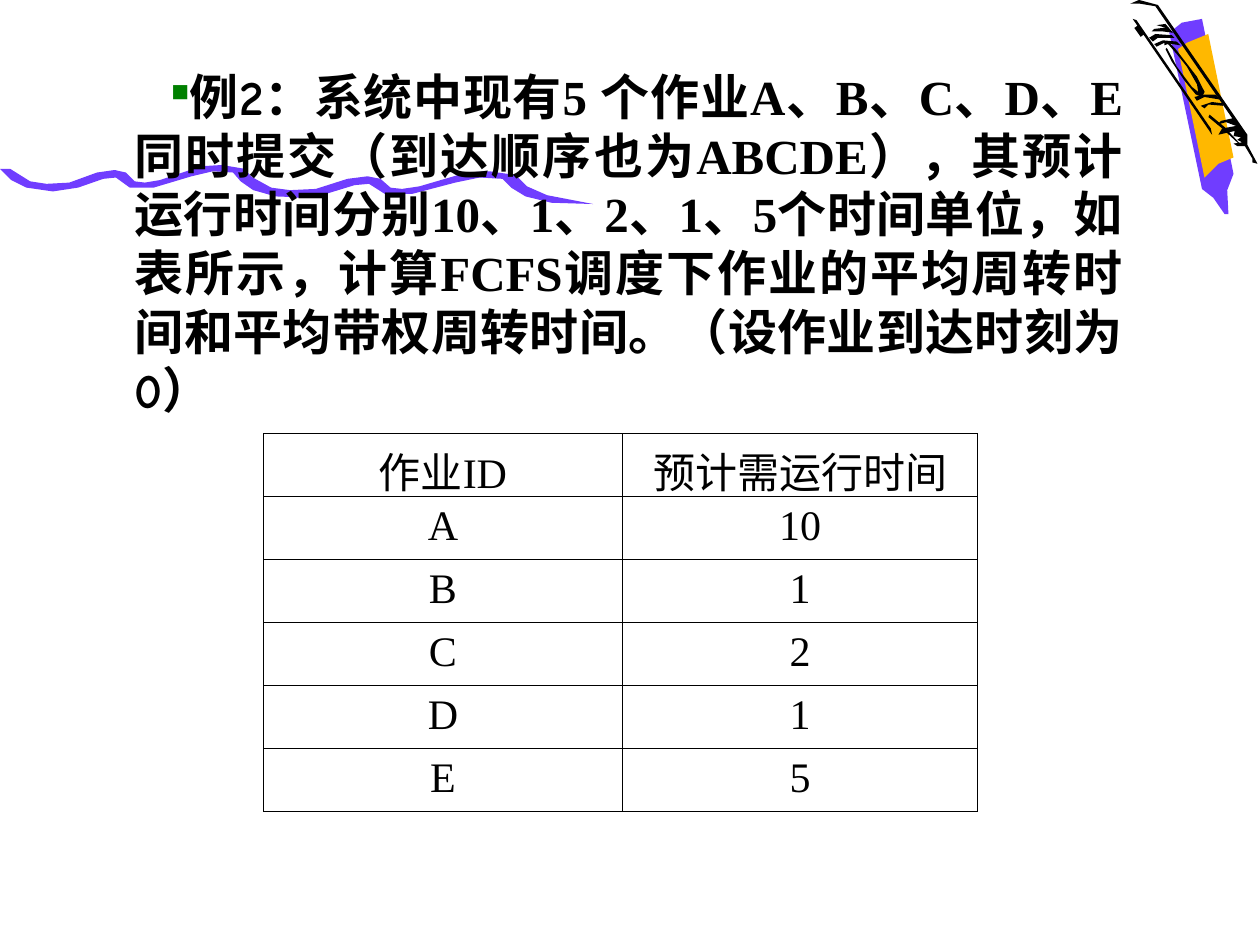
from lxml.etree import SubElement
from pptx import Presentation
from pptx.dml.color import RGBColor
from pptx.enum.shapes import MSO_CONNECTOR
from pptx.enum.text import MSO_ANCHOR, PP_ALIGN
from pptx.oxml.ns import qn
from pptx.util import Inches, Pt

BLACK = RGBColor(0x00, 0x00, 0x00)
PURPLE = RGBColor(0x70, 0x3D, 0xFF)
GOLD = RGBColor(0xFF, 0xB8, 0x00)
GREEN = RGBColor(0x00, 0x80, 0x00)
SERIF = "Times New Roman"
COMIC = "Comic Neue"
UNIT = Inches(0.01)  # outline points are in hundredths of an inch

WAVE = [
    (8, 3), (24, 13), (37, 15), (55, 14), (77, 6), (91, 4), (100, 6), (107, 13),
    (115, 14), (127, 12), (160, 1), (176, 0), (194, 3), (202, 12), (216, 19),
    (248, 26), (219, 25), (201, 20), (191, 13), (185, 6), (169, 5), (152, 9),
    (122, 18), (103, 18), (92, 10), (82, 11), (62, 18), (42, 21), (21, 18),
    (9, 12), (0, 3),
]
BODY = [(28, 26), (54, 150), (63, 157), (72, 170), (75, 170), (74, 151),
        (79, 138), (54, 15), (38, 18)]
SIDE = [(56, 141), (67, 130), (79, 125), (59, 27), (42, 34), (35, 39)]
INK = [
    # tip edge and cap marks
    [(59, 93), (70, 102), (84, 115), (84, 114), (72, 101), (60, 91)],
    [(14, 25), (23, 25), (31, 26), (25, 19), (18, 20), (25, 22), (16, 23)],
    # inner loop
    [(25, 39), (30, 49), (40, 64), (49, 75), (54, 77), (56, 73), (50, 61),
     (40, 48), (33, 39), (27, 33), (24, 33), (24, 36), (27, 35), (34, 43),
     (42, 53), (50, 67), (51, 73), (46, 69), (34, 53), (26, 38)],
    # long edges
    [(-1, 15), (62, 107), (61, 102), (2, 16)],
    [(67, 107), (70, 102), (81, 100), (73, 97), (66, 99), (69, 96), (78, 94),
     (17, 5), (5, 3), (-3, 3), (4, 0), (19, 4), (90, 107), (90, 115),
     (98, 130), (94, 129), (94, 126), (88, 116), (82, 116), (79, 114),
     (86, 113), (82, 111), (85, 109), (79, 108), (80, 104)],
    # short bands
    [(56, 86), (59, 83), (71, 84), (70, 82), (62, 81), (53, 84)],
    [(50, 80), (56, 77), (68, 79), (65, 75), (56, 75), (48, 77)],
    [(18, 37), (24, 34), (37, 36), (34, 33), (23, 32), (16, 35)],
    [(15, 33), (19, 30), (32, 30), (30, 28), (17, 27), (12, 30)],
]
TEXT = [
    ("例2：", COMIC),
    ("系统中现有5 个作业A、B、C、D、E同时提交（到达顺序也为ABCDE），"
     "其预计运行时间分别10、1、2、1、5个时间单位，如表所示，"
     "计算FCFS调度下作业的平均周转时间和平均带权周转时间。（", SERIF),
    ("设作业到达时刻为0", COMIC),
    ("）", SERIF),
]
ROWS = [("作业ID", "预计需运行时间"), ("A", "10"), ("B", "1"), ("C", "2"),
        ("D", "1"), ("E", "5")]


def style(run, name, size, bold=False):
    run.font.name, run.font.size, run.font.bold = name, Pt(size), bold
    run.font.color.rgb = BLACK


def draw(slide, points, left, top, color, stretch=1):
    pen = slide.shapes.build_freeform(*points[0], scale=(UNIT * stretch, UNIT))
    pen.add_line_segments(points[1:], close=True)
    shape = pen.convert_to_shape(left, top)
    shape.shadow.inherit = False
    shape.fill.solid()
    shape.fill.fore_color.rgb = color
    shape.line.fill.background()


def add_waves(slide, left, top):
    draw(slide, WAVE, left, top, PURPLE)
    draw(slide, WAVE, left + Inches(1.88), top + Inches(0.05), PURPLE, 1.14)


def add_pencil(slide, left, top):
    draw(slide, BODY, left, top, PURPLE)
    draw(slide, SIDE, left, top, GOLD)
    for points in INK:
        draw(slide, points, left, top, BLACK)
    # Short stroke at the cap
    line = slide.shapes.add_connector(
        MSO_CONNECTOR.STRAIGHT, left + Inches(0.02), top + Inches(0.21),
        left + Inches(0.07), top + Inches(0.28))
    line.line.color.rgb = BLACK
    line.line.width = Pt(3)
    SubElement(line._element.spPr, qn("a:effectLst"))


def add_task(slide, left, top, width, height):
    frame = slide.shapes.add_textbox(left, top, width, height).text_frame
    frame.word_wrap = True
    frame.margin_top = Inches(0.09)
    para = frame.paragraphs[0]
    para.alignment = PP_ALIGN.JUSTIFY
    para.line_spacing = Pt(33.5)
    # Small green square bullet
    props = para._p.get_or_add_pPr()
    props.set("marL", str(Inches(0.38)))
    props.set("indent", str(Inches(0.29)))
    color = SubElement(props, qn("a:buClr"))
    SubElement(color, qn("a:srgbClr"), val=str(GREEN))
    SubElement(props, qn("a:buSzPct"), val="50000")
    SubElement(props, qn("a:buChar"), char="■")
    for text, name in TEXT:
        run = para.add_run()
        run.text = text
        style(run, name, 28, True)


def add_border(cell):
    props = cell._tc.get_or_add_tcPr()
    for side in ("lnL", "lnR", "lnT", "lnB"):
        line = SubElement(props, qn(f"a:{side}"), w=str(Pt(0.45)))
        fill = SubElement(line, qn("a:solidFill"))
        SubElement(fill, qn("a:srgbClr"), val=str(BLACK))


def add_jobs(slide, left, top, width, height):
    table = slide.shapes.add_table(
        len(ROWS), 2, left, top, width, height).table
    table.first_row = table.horz_banding = False
    table.columns[0].width = Inches(2.85)
    table.columns[1].width = width - Inches(2.85)
    for row, texts in enumerate(ROWS):
        for col, text in enumerate(texts):
            cell = table.cell(row, col)
            add_border(cell)
            cell.fill.background()
            cell.margin_left = cell.margin_right = Inches(0.08)
            cell.vertical_anchor = MSO_ANCHOR.TOP
            cell.text_frame.text = text
            para = cell.text_frame.paragraphs[0]
            para.alignment = PP_ALIGN.CENTER
            style(para.runs[0], SERIF, 24)


def main():
    deck = Presentation()
    deck.slide_width, deck.slide_height = Inches(10), Inches(7.5)
    slide = deck.slides.add_slide(deck.slide_layouts[6])
    add_waves(slide, Inches(0), Inches(1.31))
    add_pencil(slide, Inches(9), Inches(0))
    add_task(slide, Inches(0.59), Inches(0.44), Inches(8.42), Inches(4.55))
    add_jobs(slide, Inches(2.09), Inches(3.44), Inches(5.67), Inches(2.4))
    deck.save("out.pptx")


if __name__ == "__main__":
    main()
